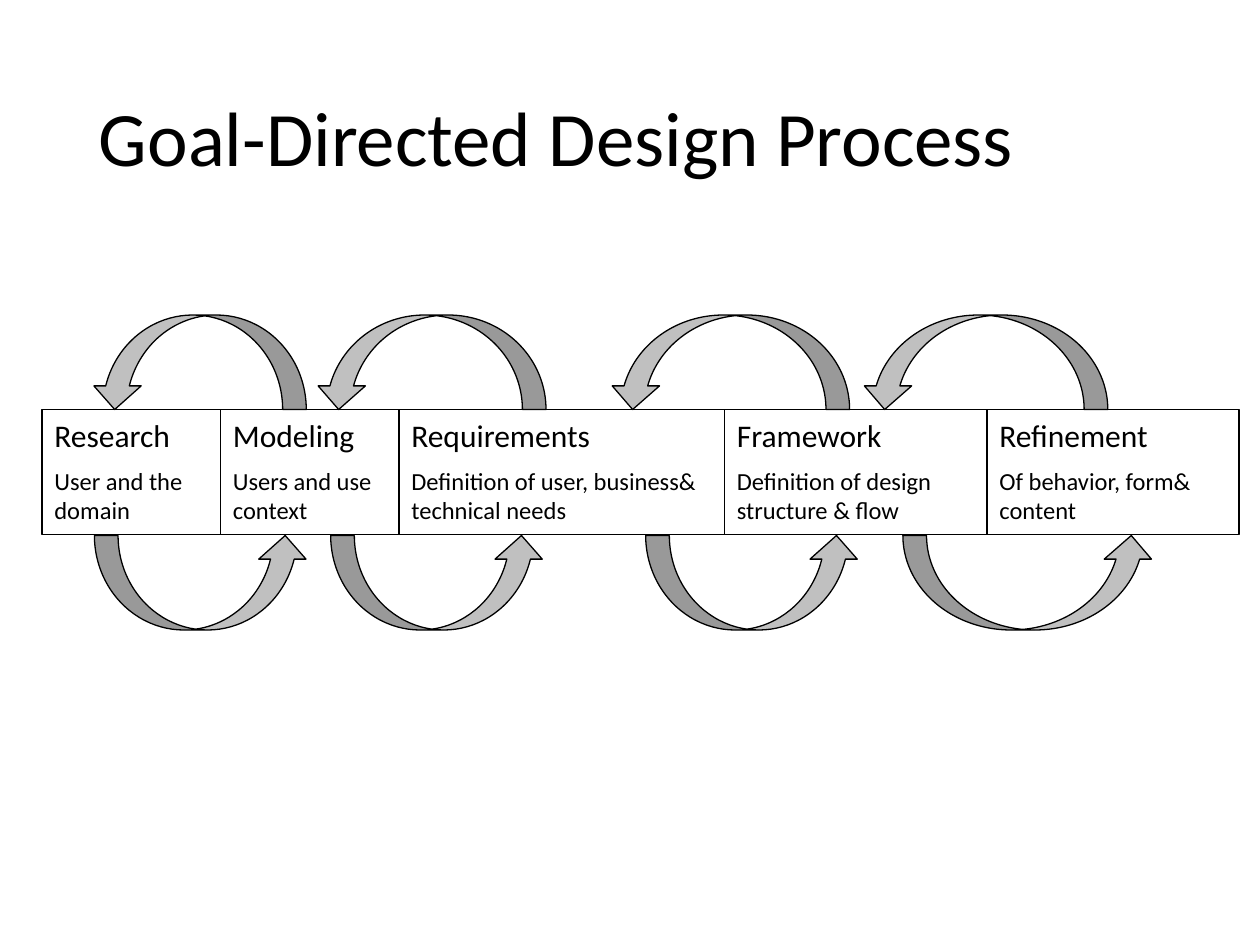
from pptx import Presentation
from pptx.dml.color import RGBColor
from pptx.enum.shapes import MSO_SHAPE as Form
from pptx.enum.text import MSO_ANCHOR as Anchor, PP_ALIGN as Align
from pptx.util import Pt

BLACK = RGBColor(0, 0, 0)
SILVER = RGBColor(192, 192, 192)


def write(frame, text, size, first=True, before=0, lead=1.0):
    para = frame.paragraphs[0] if first else frame.add_paragraph()
    para.alignment = Align.LEFT
    para.space_before = Pt(before)
    para.line_spacing = lead
    run = para.add_run()
    run.text = text
    run.font.name = "Calibri"
    run.font.size = Pt(size)
    run.font.color.rgb = BLACK


class Page:
    edge = 0.75
    head = 18
    body = 14

    def __init__(self, deck):
        self.slide = deck.slides.add_slide(deck.slide_layouts[6])

    def title(self, text, left, top, width, height):
        box = self.slide.shapes.add_textbox(Pt(left), Pt(top), Pt(width), Pt(height))
        frame = box.text_frame
        frame.word_wrap = True
        frame.vertical_anchor = Anchor.MIDDLE
        write(frame, text, 44, lead=0.9)

    def shape(self, form, left, top, width, height):
        item = self.slide.shapes.add_shape(form, Pt(left), Pt(top), Pt(width), Pt(height))
        item.shadow.inherit = False
        item.line.color.rgb = BLACK
        item.line.width = Pt(self.edge)
        return item

    def stage(self, name, note, left, top, width, height):
        box = self.shape(Form.RECTANGLE, left, top, width, height)
        box.fill.background()
        frame = box.text_frame
        frame.word_wrap = True
        frame.vertical_anchor = Anchor.TOP
        write(frame, name, self.head)
        write(frame, note, self.body, first=False, before=7)

    def arrow(self, left, top, width, height, turn=0):
        loop = self.shape(Form.CURVED_UP_ARROW, left, top, width, height)
        loop.fill.solid()
        loop.fill.fore_color.rgb = SILVER
        loop.rotation = turn


STAGES = [
    ("Research", "User and the domain", 102),
    ("Modeling", "Users and use context", 102),
    ("Requirements", "Definition of user, business& technical needs", 186),
    ("Framework", "Definition of design structure & flow", 150),
    ("Refinement", "Of behavior, form& content", 144),
]
LOWER = [(54, 122.5), (189, 122.5), (369, 122.5), (516, 144)]
UPPER = [(492, 141), (348, 137.5), (180, 132), (52, 123)]
TOP, TALL, RISE = 234, 71.5, 54

deck = Presentation()
deck.slide_width, deck.slide_height = Pt(720), Pt(540)
page = Page(deck)
page.title("Goal-Directed Design Process", 49.5, 28.75, 621, 104.4)

left = 24
for name, note, width in STAGES:
    page.stage(name, note, left, TOP, width, TALL)
    left += width

for row, top, turn in ((LOWER, 306, 0), (UPPER, TOP - RISE, 180)):
    for left, width in row:
        page.arrow(left, top, width, RISE, turn)

deck.save("out.pptx")
